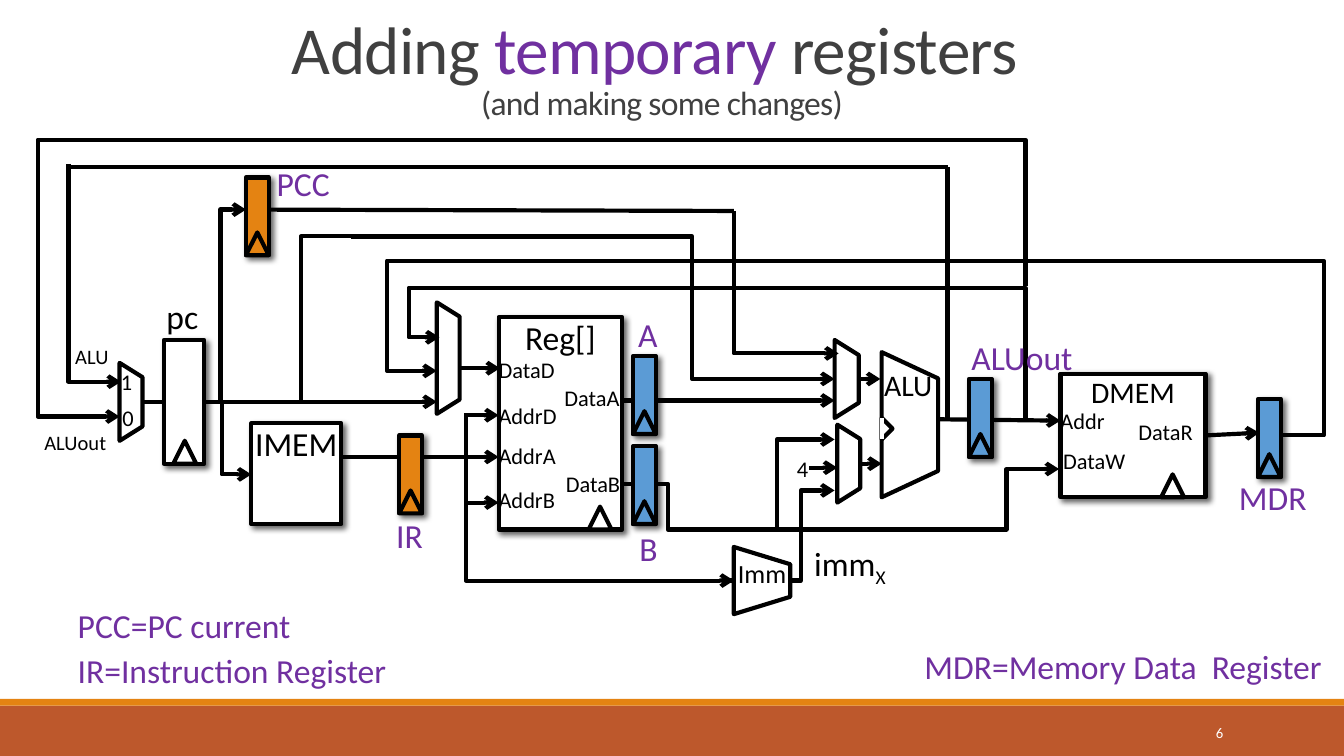
from dataclasses import dataclass

from pptx import Presentation
from pptx.dml.color import RGBColor
from pptx.enum.shapes import MSO_CONNECTOR, MSO_SHAPE
from pptx.enum.text import MSO_ANCHOR, MSO_AUTO_SIZE, PP_ALIGN
from pptx.oxml import parse_xml
from pptx.oxml.ns import nsdecls
from pptx.util import Pt

EMU_PER_PX = 9144  # 100 px to the inch
PAGE_WIDTH = 1000
CLOCK = 17


@dataclass(frozen=True)
class Theme:
    font: str = "Calibri"
    black: str = "000000"
    white: str = "FFFFFF"
    gray: str = "404040"
    purple: str = "7030A0"
    orange: str = "E48312"
    rust: str = "BD582C"
    blue: str = "5B9BD5"
    wire: float = 2.25
    title: int = 36
    name: int = 18
    unit: int = 16
    imm: int = 14
    port: int = 12
    select: int = 11
    number: float = 7.9


THEME = Theme()


def px(*lengths):
    return [length * EMU_PER_PX for length in lengths]


def color(code):
    return RGBColor.from_string(code)


def add_span(para, text, size, ink, spacing=None):
    span = para.add_run()
    span.text = text
    span.font.name = THEME.font
    span.font.size = Pt(size)
    span.font.color.rgb = color(ink)
    if spacing is not None:
        span.font._element.set("spc", str(spacing))
    return span


def clear_insets(frame):
    frame.margin_left = frame.margin_right = frame.margin_top = frame.margin_bottom = 0


def add_label(page, text, x, y, w, h, size, ink=THEME.black, wrap=False, inset=False):
    frame = page.shapes.add_textbox(*px(x, y, w, h)).text_frame
    frame.word_wrap = wrap
    frame.auto_size = MSO_AUTO_SIZE.SHAPE_TO_FIT_TEXT
    if not inset:
        clear_insets(frame)
    add_span(frame.paragraphs[0], text, size, ink)
    return frame.paragraphs[0]


def draw_outline(line, ink=THEME.black, arrow=False):
    line.color.rgb = color(ink)
    line.width = Pt(THEME.wire)
    if arrow:
        line._get_or_add_ln().append(parse_xml(f'<a:tailEnd {nsdecls("a")} type="arrow"/>'))


def add_preset(page, kind, x, y, w, h, fill=None, outlined=True):
    shape = page.shapes.add_shape(kind, *px(x, y, w, h))
    shape.shadow.inherit = False
    if fill:
        shape.fill.solid()
        shape.fill.fore_color.rgb = color(fill)
    else:
        shape.fill.background()
    if outlined:
        draw_outline(shape.line)
    else:
        shape.line.fill.background()
    return shape


def add_sideways(page, kind, x, y, w, h, fill=None):
    """Turn a preset to point right, filling the box x, y, w, h as seen."""
    shift = (w - h) / 2
    shape = add_preset(page, kind, 0, 0, h, w, fill)
    shape.left, shape.top = (round(length) for length in px(x + shift, y - shift))
    shape.rotation = 90
    return shape


def add_mux(page, x, y, w, h, slant):
    mux = add_sideways(page, MSO_SHAPE.TRAPEZOID, x, y, w, h, THEME.white)
    mux.adjustments[0] = slant


def add_block(page, x, y, w, h, fill=THEME.white, name="", size=THEME.name, clock=None):
    """A shadowed unit; clock is the offset of its clock mark from the left."""
    block = add_preset(page, MSO_SHAPE.RECTANGLE, x, y, w, h, fill)
    block._element.spPr.find("{*}effectLst").append(parse_xml(
        f'<a:outerShdw {nsdecls("a")} blurRad="38100" dist="28575" dir="2700000" algn="tl" '
        'rotWithShape="0"><a:srgbClr val="000000"><a:alpha val="60000"/></a:srgbClr></a:outerShdw>'))
    if name:
        frame = block.text_frame
        clear_insets(frame)
        frame.vertical_anchor = MSO_ANCHOR.TOP
        frame.paragraphs[0].alignment = PP_ALIGN.CENTER
        add_span(frame.paragraphs[0], name, size, THEME.black)
    if clock is not None:
        add_preset(page, MSO_SHAPE.ISOSCELES_TRIANGLE, x + clock, y + h - CLOCK, CLOCK, CLOCK, fill)


def add_wire(page, x1, y1, x2, y2, arrow=False, bend=None, ink=THEME.black):
    """A straight wire, or an elbow that turns at the x position bend."""
    kind = MSO_CONNECTOR.STRAIGHT if bend is None else MSO_CONNECTOR.ELBOW
    wire = page.shapes.add_connector(kind, *px(x1, y1, x2, y2))
    properties = wire._element.spPr
    draw_outline(wire.line, ink, arrow)
    properties.append(parse_xml(f'<a:effectLst {nsdecls("a")}/>'))
    if bend is not None:
        ratio = round((bend - x1) / (x2 - x1) * 100000)
        properties.find(".//{*}avLst").append(
            parse_xml(f'<a:gd {nsdecls("a")} name="adj1" fmla="val {ratio}"/>'))


def add_route(page, points):
    """An arrow through several corners."""
    builder = page.shapes.build_freeform(*points[0], scale=EMU_PER_PX)
    builder.add_line_segments(points[1:], close=False)
    route = builder.convert_to_shape()
    route.shadow.inherit = False
    route.fill.background()
    draw_outline(route.line, arrow=True)


def add_frame(page):
    add_preset(page, MSO_SHAPE.RECTANGLE, 0, 525, PAGE_WIDTH, 38, THEME.rust, outlined=False)
    add_preset(page, MSO_SHAPE.RECTANGLE, 0, 520, PAGE_WIDTH, 5, THEME.orange, outlined=False)
    number = page.shapes.add_textbox(*px(812, 530, 108, 30)).text_frame
    number.word_wrap = True
    number.vertical_anchor = MSO_ANCHOR.MIDDLE
    number.paragraphs[0].alignment = PP_ALIGN.RIGHT
    add_span(number.paragraphs[0], "6", THEME.number, THEME.white)

    title = page.shapes.add_textbox(*px(65, 8, 855, 88)).text_frame
    title.word_wrap = True
    title.vertical_anchor = MSO_ANCHOR.BOTTOM
    para = title.paragraphs[0]
    para.alignment = PP_ALIGN.CENTER
    para.line_spacing = 0.85
    add_span(para, "Adding ", THEME.title, THEME.gray, -40)
    add_span(para, "temporary", THEME.title, THEME.purple, -40)
    add_span(para, " registers ", THEME.title, THEME.gray, -40)
    para.add_line_break()
    add_span(para, "(and making some changes)", THEME.name, THEME.gray, -40)


def add_units(page):
    add_block(page, 187, 315, 67, 75, name="IMEM")
    add_block(page, 789, 278, 108, 92, name="DMEM", size=THEME.unit, clock=75)
    add_block(page, 371, 236, 92, 158, name="Reg[]", clock=67)
    add_mux(page, 656, 262, 42, 108, 0.466)
    add_sideways(page, MSO_SHAPE.ISOSCELES_TRIANGLE, 656, 311, 8, 16)
    add_wire(page, 656, 311, 656, 327, ink=THEME.white)
    for x, y, w, h in ((621, 253, 18, 58), (623, 316, 17, 58),
                       (89, 270, 17, 58), (325, 225, 17, 83)):
        add_mux(page, x, y, w, h, 0.627)


def add_wires(page):
    for ends in ((763, 311, 763, 265), (105, 299, 122, 299), (705, 124, 51, 124),
                 (705, 312, 705, 124), (347, 340, 347, 307), (546, 157, 200, 156)):
        add_wire(page, *ends)
    for ends in ((897, 324, 937, 322), (698, 312, 789, 313), (639, 282, 655, 282),
                 (640, 345, 656, 345), (463, 298, 621, 298), (346, 340, 371, 340),
                 (346, 374, 371, 374), (346, 309, 371, 309), (198, 299, 325, 299),
                 (342, 274, 372, 274), (602, 348, 623, 348)):
        add_wire(page, *ends, arrow=True)
    for *ends, bend, arrow in (
            (152, 299, 187, 353, 165, True), (463, 360, 579, 394, 497, False),
            (121, 299, 262, 176, 224, False), (254, 340, 546, 432, 347, True),
            (578, 394, 788, 349, 749, True), (538, 432, 621, 365, 596, True),
            (261, 176, 621, 282, 515, True)):
        add_wire(page, *ends, arrow=arrow, bend=bend)
    for points in (
            [(51, 122), (51, 284), (90, 284)],
            [(546, 157), (546, 263), (624, 263)],
            [(578, 395), (578, 327), (621, 327)],
            [(763, 269), (763, 214), (304, 214), (304, 251), (327, 251)],
            [(953, 324), (985, 324), (985, 194), (288, 194), (288, 276), (325, 276)],
            [(164, 299), (164, 156), (183, 156)],
            [(763, 213), (763, 104), (28, 104), (28, 310), (89, 310)]):
        add_route(page, points)


def add_registers(page):
    add_block(page, 122, 253, 30, 92, clock=7)
    add_mux(page, 546, 407, 42, 50, 0.307)
    for x, y, fill in ((297, 324, THEME.orange), (183, 132, THEME.orange),
                       (471, 332, THEME.blue), (471, 265, THEME.blue),
                       (721, 282, THEME.blue), (936, 297, THEME.blue)):
        add_block(page, x, y, CLOCK, 58, fill, clock=0)


def add_labels(page):
    for text, x, y, w in (
            ("AddrA", 371, 329, 43), ("AddrB", 371, 362, 42), ("DataA", 420, 286, 42),
            ("AddrD", 371, 299, 44), ("DataB", 421, 350, 41), ("DataD", 371, 265, 42),
            ("Addr", 789, 303, 34), ("DataW", 791, 333, 48), ("DataR", 847, 311, 42),
            ("1", 90, 274, 9), ("0", 91, 301, 9), ("4", 593, 339, 9)):
        add_label(page, text, x, y, w, 20, THEME.port)
    add_label(page, "ALU", 56, 256, 28, 19, THEME.select)
    add_label(page, "ALUout", 33, 320, 48, 19, THEME.select)
    imm = add_label(page, "Imm", 549, 412, 58, 27, THEME.imm, wrap=True)
    add_span(imm, ".", THEME.unit, THEME.black)
    add_label(page, "ALU", 648, 268, 57, 35, THEME.unit, inset=True)
    add_label(page, "pc", 114, 215, 44, 40, THEME.name, inset=True)
    extended = add_label(page, "imm", 596, 399, 75, 40, THEME.name, inset=True)
    add_span(extended, "X", THEME.name, THEME.black).font._element.set("baseline", "-25000")
    for text, x, y, w, wrap in (
            ("PCC", 196, 116, 84, True), ("IR", 285, 378, 40, False),
            ("A", 465, 229, 35, False), ("B", 466, 388, 34, False),
            ("ALUout", 713, 246, 96, False), ("MDR", 912, 350, 71, False),
            ("PCC=PC current", 48, 445, 218, True),
            ("IR=Instruction Register", 48, 479, 267, True),
            ("MDR=Memory Data  Register", 678, 476, 322, True)):
        add_label(page, text, x, y, w, 40, THEME.name, THEME.purple, wrap, inset=True)


def main():
    deck = Presentation()
    deck.slide_width, = px(PAGE_WIDTH)
    deck.slide_height = deck.slide_width * 9 // 16
    page = deck.slides.add_slide(deck.slide_layouts[6])
    for add_layer in (add_frame, add_units, add_wires, add_registers, add_labels):
        add_layer(page)
    deck.save("out.pptx")


if __name__ == "__main__":
    main()
